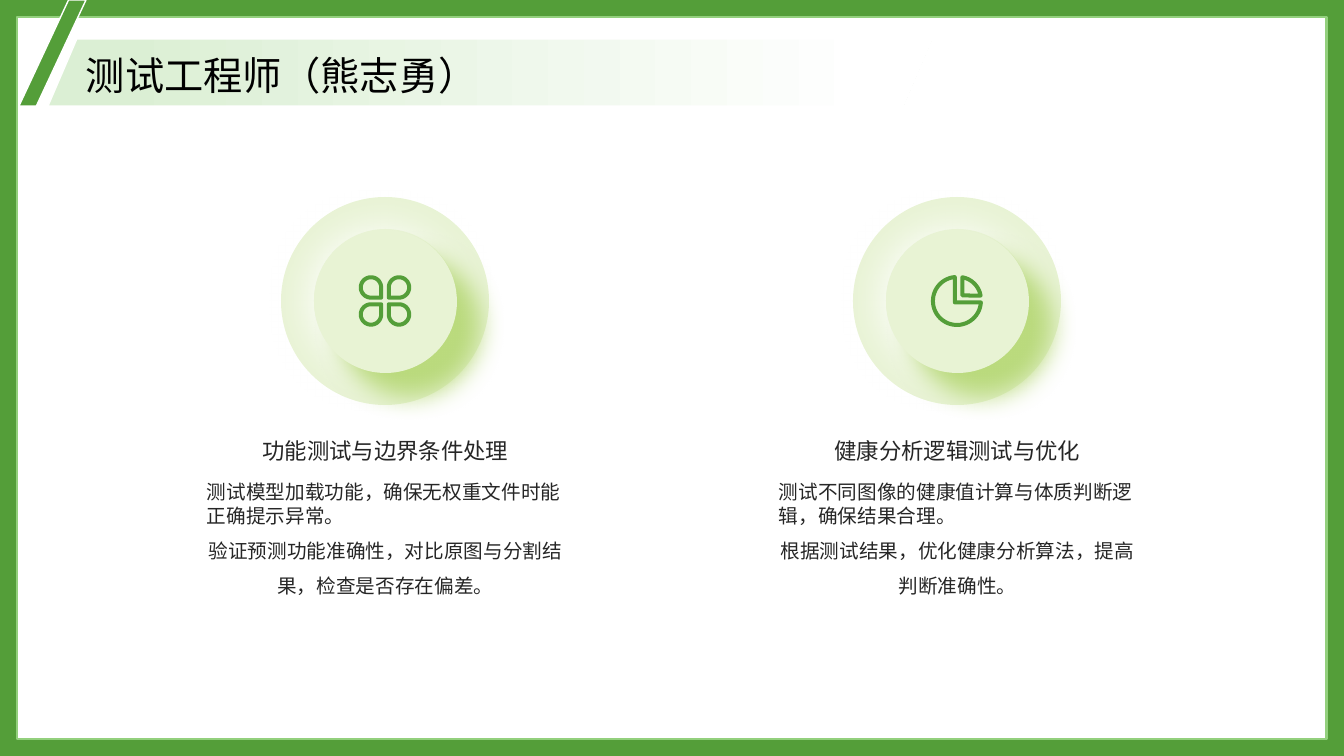
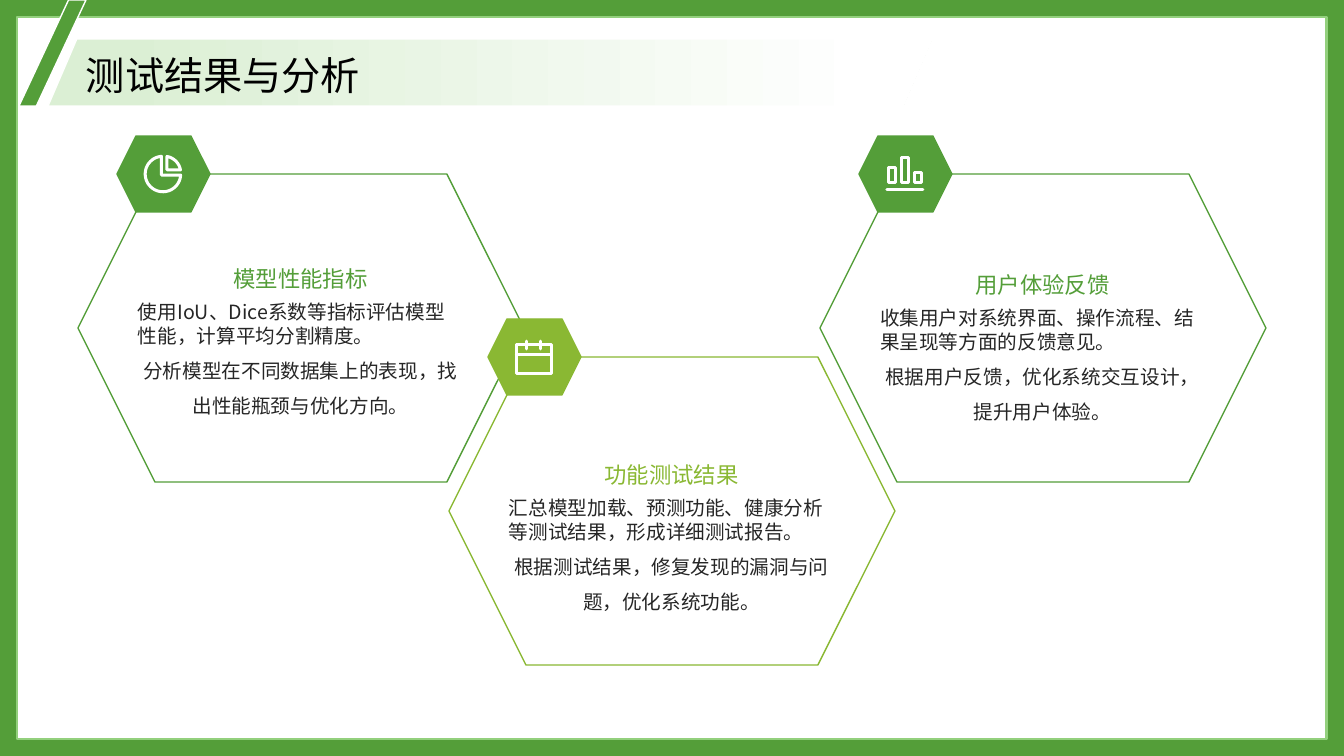
"""Build two green report slides: a tester's duties and the test results."""
from dataclasses import dataclass
from math import cos, radians, sin

from pptx import Presentation
from pptx.dml.color import RGBColor
from pptx.enum.shapes import MSO_SHAPE
from pptx.enum.text import MSO_ANCHOR, PP_ALIGN
from pptx.oxml.xmlchemy import OxmlElement
from pptx.util import Pt

PX = 12192000 / 1344
W, H = 1344, 756
RECT, OVAL, ROUND = MSO_SHAPE.RECTANGLE, MSO_SHAPE.OVAL, MSO_SHAPE.ROUNDED_RECTANGLE
HEXAGON, SLANT = MSO_SHAPE.HEXAGON, MSO_SHAPE.PARALLELOGRAM
TOP, MIDDLE, BOTTOM = MSO_ANCHOR.TOP, MSO_ANCHOR.MIDDLE, MSO_ANCHOR.BOTTOM
LEFT, CENTER = PP_ALIGN.LEFT, PP_ALIGN.CENTER


@dataclass(frozen=True)
class Theme:
    """Colours, font and type sizes."""
    green: str = "549E39"
    lime: str = "8AB833"
    border: str = "93D07D"
    pale: str = "E8F3D4"
    shade: str = "BBDB7E"
    band: str = "DBEFD4"
    white: str = "FFFFFF"
    black: str = "000000"
    ink: str = "262626"
    font: str = "Noto Sans CJK SC"
    title: int = 28
    heading: int = 16
    body: int = 14


T = Theme()


def emu(px):
    """Turn px into EMU."""
    return round(px * PX)


def rgb(value):
    """Turn a hex string into a colour."""
    return RGBColor.from_string(value)


def xml(parent, tag, **attrs):
    """Append an element with attributes to a parent."""
    el = OxmlElement(tag)
    for key, value in attrs.items():
        el.set(key, str(value))
    parent.append(el)
    return el


def arc(cx, cy, r, start, end):
    """Return points on an arc, angles in degrees clockwise from the right."""
    n = 40
    angles = [radians(start + (end - start) * i / n) for i in range(n + 1)]
    return [(cx + r * cos(a), cy + r * sin(a)) for a in angles]


def box(x1, y1, x2, y2):
    """Return the closed outline of a box."""
    return [(x1, y1), (x2, y1), (x2, y2), (x1, y2)], True


def petal(sx, sy):
    """Return a round petal whose square corner points at the centre."""
    points = arc(-14, -13.5, 10.2, 90, 360) + [(-3.8, -3.3)]
    return [(-x * sx, -y * sy) for x, y in points], True


PETALS = [petal(sx, sy) for sx in (-1, 1) for sy in (-1, 1)]
PIE = [
    ([(-2, 1.5)] + arc(0, 0, 24, 3.5, 265) + [(-2, 1.5)], True),
    ([(5.5, -5.5)] + arc(1.5, -1.5, 22.5, -80, -10), True),
]
BARS = [
    box(-16.5, -6, -9, 9),
    box(-3.5, -16, 3.5, 9),
    box(9.5, -1, 16.5, 9),
    ([(-18, 16), (18, 16)], False),
]
CALENDAR = [
    box(-17.5, -12, 17.5, 16.5),
    ([(-17.5, -2.5), (17.5, -2.5)], False),
    ([(-7, -16), (-7, -8)], False),
    ([(7, -16), (7, -8)], False),
]


class Deck:
    """Hold the presentation and the current slide."""

    def __init__(self):
        self.prs = Presentation()
        self.prs.slide_width, self.prs.slide_height = emu(W), emu(H)
        self.s = None

    def slide(self, title):
        """Start a slide with its frame and title band."""
        self.s = self.prs.slides.add_slide(self.prs.slide_layouts[6])
        self.shape(RECT, 0, 0, W, H, T.green)
        self.shape(RECT, 17, 17, W - 34, H - 34, T.white, T.border, 2)
        sp = self.shape(SLANT, 48, 39, 884, 67, T.white, T.white, adj=0.43)
        sp.fill.gradient()
        sp.fill.gradient_angle = 0
        stops = [(T.band, 0.08), (T.white, 0.93)]
        for stop, (color, position) in zip(sp.fill.gradient_stops, stops):
            stop.color.rgb, stop.position = rgb(color), position
        self.text(86, 47, 652, 51, [(title, LEFT, 1.1)], T.title, T.black, MIDDLE)
        self.shape(SLANT, 19, 0, 67, 106, T.green, T.white, adj=0.74)

    def shape(self, kind, x, y, w, h, fill, line=None, weight=1, adj=None):
        """Add a flat preset shape."""
        sp = self.s.shapes.add_shape(kind, *map(emu, (x, y, w, h)))
        sp.shadow.inherit = False
        sp.fill.solid()
        sp.fill.fore_color.rgb = rgb(fill)
        if line:
            sp.line.color.rgb, sp.line.width = rgb(line), Pt(weight)
        else:
            sp.line.fill.background()
        if adj is not None:
            sp.adjustments[0] = adj
        return sp

    def disc(self, x, y, d, color, blur, dist, angle):
        """Add a pale disc with a soft shadow."""
        sp = self.shape(ROUND, x, y, d, d, T.pale, adj=0.5)
        effects = sp._element.spPr.find("{*}effectLst")
        shadow = xml(effects, "a:outerShdw", blurRad=Pt(blur), dist=Pt(dist),
                     dir=angle * 60000, algn="ctr", rotWithShape=0)
        xml(shadow, "a:srgbClr", val=color)

    def icon(self, cx, cy, strokes, color, weight, scale=1):
        """Draw an icon as one shape of stroked outlines."""
        def place(points):
            return [(emu(cx + x * scale), emu(cy + y * scale)) for x, y in points]

        first = place(strokes[0][0])[0]
        builder = self.s.shapes.build_freeform(*first, scale=1.0)
        for points, closed in strokes:
            start, *rest = place(points)
            if start != first:
                builder.move_to(*start)
            builder.add_line_segments(rest, close=closed)
        sp = builder.convert_to_shape()
        sp.shadow.inherit = False
        sp.fill.background()
        sp.line.color.rgb, sp.line.width = rgb(color), emu(weight)
        ln = sp.line._get_or_add_ln()
        ln.set("cap", "rnd")
        xml(ln, "a:round")

    def text(self, x, y, w, h, paragraphs, size, color, anchor=TOP):
        """Add a text box of (text, alignment, line spacing) paragraphs."""
        tf = self.s.shapes.add_textbox(*map(emu, (x, y, w, h))).text_frame
        frame = dict(word_wrap=True, vertical_anchor=anchor, margin_left=0,
                     margin_right=0, margin_top=0, margin_bottom=0)
        for key, value in frame.items():
            setattr(tf, key, value)
        for i, (words, align, spacing) in enumerate(paragraphs):
            p = tf.add_paragraph() if i else tf.paragraphs[0]
            p.alignment, p.line_spacing = align, spacing
            r = p.add_run()
            r.text = words
            for key, value in dict(name=T.font, size=Pt(size)).items():
                setattr(r.font, key, value)
            r.font.color.rgb = rgb(color)
            xml(r._r.get_or_add_rPr(), "a:ea", typeface=T.font)

    def heading(self, x, y, w, h, words, color, anchor):
        """Add a centred heading."""
        self.text(x, y, w, h, [(words, CENTER, 1.3)], T.heading, color, anchor)

    def body(self, x, y, w, h, lead, detail):
        """Add a tight lead paragraph and an open centred one."""
        paragraphs = [(lead, LEFT, 1.0), (detail, CENTER, 1.5)]
        self.text(x, y, w, h, paragraphs, T.body, T.ink)

    def duty(self, cx, strokes, title, lead, detail):
        """Add a column with an icon disc, a heading and text."""
        self.shape(OVAL, cx - 104, 197, 208, 208, T.pale)
        self.disc(cx - 71, 229, 143, T.white, 32, 3, 180)
        self.disc(cx - 71, 230, 143, T.shade, 18, 24, 45)
        self.icon(cx, 301, strokes, T.green, 4)
        self.heading(cx - 178, 431, 357, 31, title, T.ink, MIDDLE)
        self.body(cx - 178, 480, 357, 148, lead, detail)

    def result(self, x, y, top, color, strokes, scale, title, lead, detail):
        """Add a hexagon card with a badge, a heading and text."""
        self.shape(HEXAGON, x, y, 446, 308, T.white, color)
        self.heading(x + 60, top - 83, 325, 75, title, color, BOTTOM)
        self.body(x + 60, top, 325, 133, lead, detail)
        self.shape(HEXAGON, x + 39, y - 38, 93, 76, color, color)
        self.icon(x + 85, y, strokes, T.white, 3, scale)


DUTIES = [
    (PETALS, "功能测试与边界条件处理",
     "测试模型加载功能，确保无权重文件时能正确提示异常。",
     "验证预测功能准确性，对比原图与分割结果，检查是否存在偏差。"),
    (PIE, "健康分析逻辑测试与优化",
     "测试不同图像的健康值计算与体质判断逻辑，确保结果合理。",
     "根据测试结果，优化健康分析算法，提高判断准确性。"),
]
RESULTS = [
    (174, 300, T.green, PIE, 0.74, "模型性能指标",
     "使用IoU、Dice系数等指标评估模型性能，计算平均分割精度。",
     "分析模型在不同数据集上的表现，找出性能瓶颈与优化方向。"),
    (357, 496, T.lime, CALENDAR, 1, "功能测试结果",
     "汇总模型加载、预测功能、健康分析等测试结果，形成详细测试报告。",
     "根据测试结果，修复发现的漏洞与问题，优化系统功能。"),
    (174, 306, T.green, BARS, 1, "用户体验反馈",
     "收集用户对系统界面、操作流程、结果呈现等方面的反馈意见。",
     "根据用户反馈，优化系统交互设计，提升用户体验。"),
]


def main():
    """Build and save the slides."""
    deck = Deck()
    deck.slide("测试工程师（熊志勇）")
    for i, duty in enumerate(DUTIES):
        deck.duty(385 + 572 * i, *duty)
    deck.slide("测试结果与分析")
    for i, result in enumerate(RESULTS):
        deck.result(78 + 371 * i, *result)
    deck.prs.save("out.pptx")


if __name__ == "__main__":
    main()
